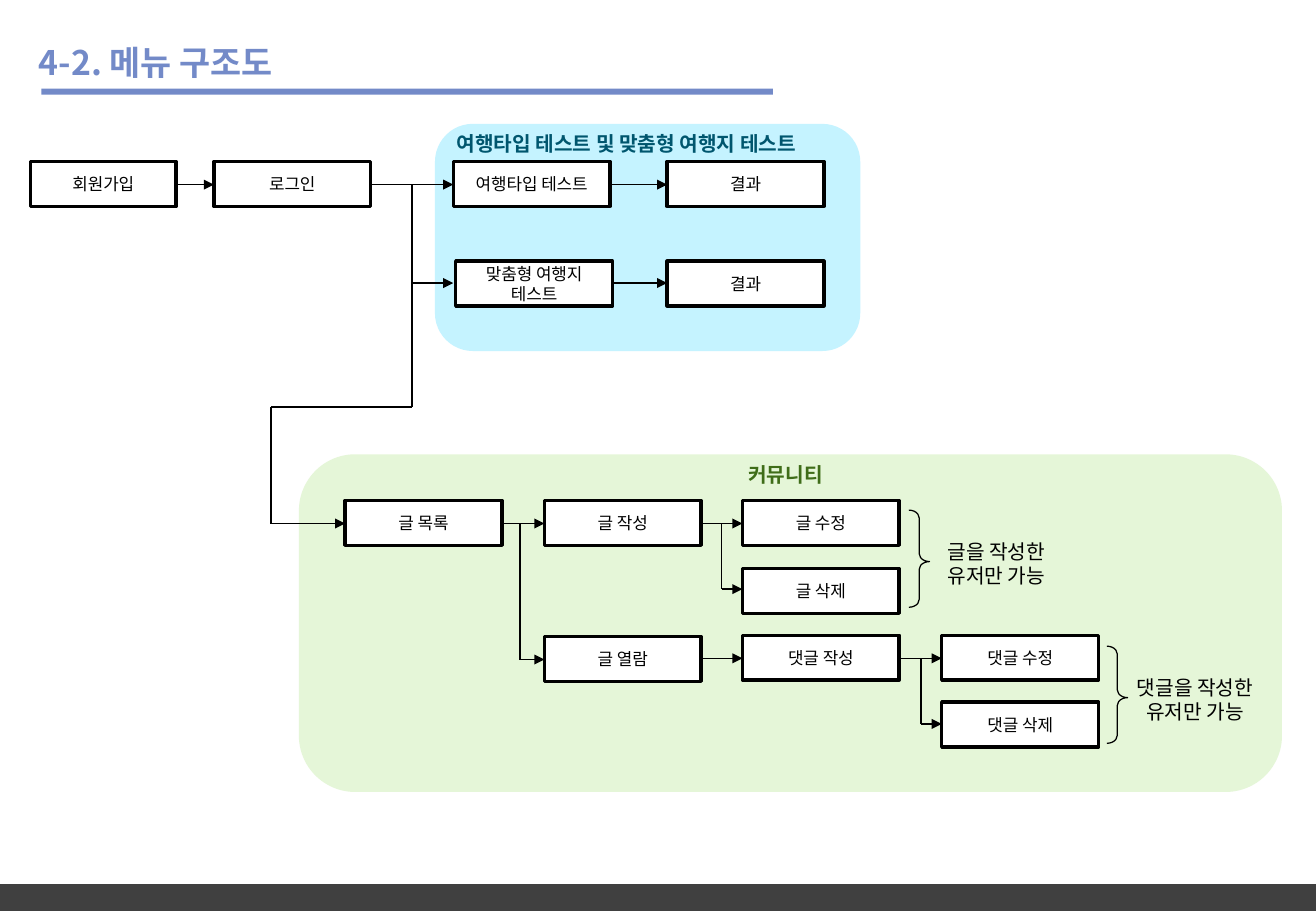
from dataclasses import dataclass

import pptx
import pptx.dml.color
import pptx.enum.shapes
import pptx.enum.text
import pptx.oxml
import pptx.oxml.ns
import pptx.util
from pptx.enum.shapes import MSO_SHAPE
from pptx.enum.text import MSO_ANCHOR, PP_ALIGN

RGB = pptx.dml.color.RGBColor
BLACK = RGB(0, 0, 0)
WHITE = RGB(255, 255, 255)
FOOTER_GRAY = RGB(0x40, 0x40, 0x40)
TITLE_BLUE = RGB(0x73, 0x8A, 0xC8)
TEST_FILL, TEST_TEXT = RGB(0xC5, 0xF3, 0xFF), RGB(0x00, 0x56, 0x6E)
COMMUNITY_FILL, COMMUNITY_TEXT = RGB(0xE5, 0xF6, 0xD8), RGB(0x3F, 0x6D, 0x19)

FONT = "Noto Sans CJK KR"
PX = pptx.util.Inches(1) // 100
MENU_WIDTH, MENU_HEIGHT = 129, 37


@dataclass(frozen=True)
class Block:
    shape: MSO_SHAPE
    left: int
    top: int
    width: int
    height: int
    fill: RGB


@dataclass(frozen=True)
class Menu:
    text: str
    left: int
    top: int
    width: int = MENU_WIDTH


@dataclass(frozen=True)
class Label:
    text: str
    left: int
    top: int
    width: int
    height: int
    size: int = 12
    color: RGB = BLACK
    bold: bool = False
    align: PP_ALIGN = PP_ALIGN.LEFT
    wrap: bool = False
    anchor: MSO_ANCHOR = MSO_ANCHOR.TOP
    line_spacing: float = 1.0


@dataclass(frozen=True)
class Path:
    """A straight line between two points, with an arrowhead at its end if wanted."""
    x1: int
    y1: int
    x2: int
    y2: int
    arrow: bool = True


BLOCKS = [
    Block(MSO_SHAPE.RECTANGLE, -3, 728, 1091, 23, FOOTER_GRAY),
    Block(MSO_SHAPE.RECTANGLE, 34, 73, 602, 5, TITLE_BLUE),
    Block(MSO_SHAPE.ROUNDED_RECTANGLE, 358, 102, 350, 187, TEST_FILL),
    Block(MSO_SHAPE.ROUNDED_RECTANGLE, 246, 374, 809, 278, COMMUNITY_FILL),
]

MENUS = [
    Menu("회원가입", 25, 133, 120),
    Menu("로그인", 176, 133),
    Menu("여행타입 테스트", 373, 133),
    Menu("결과", 549, 133),
    Menu("맞춤형 여행지\n테스트", 375, 215),
    Menu("결과", 549, 215),
    Menu("글 목록", 284, 412),
    Menu("글 작성", 448, 412),
    Menu("글 수정", 611, 412),
    Menu("글 삭제", 611, 468),
    Menu("글 열람", 448, 524),
    Menu("댓글 작성", 611, 523),
    Menu("댓글 수정", 775, 523),
    Menu("댓글 삭제", 775, 578),
]

LABELS = [
    Label("4-2. 메뉴 구조도", 22, 13, 538, 59, 20, TITLE_BLUE, True,
          wrap=True, anchor=MSO_ANCHOR.MIDDLE, line_spacing=1.5),
    Label("여행타입 테스트 및 맞춤형 여행지 테스트", 366, 103, 336, 30,
          color=TEST_TEXT, bold=True),
    Label("커뮤니티", 606, 376, 88, 30, color=COMMUNITY_TEXT, bold=True),
    Label("글을 작성한\n유저만 가능", 765, 439, 110, 50, align=PP_ALIGN.CENTER),
    Label("댓글을 작성한\n유저만 가능", 920, 551, 127, 50, align=PP_ALIGN.CENTER),
]

PATHS = [
    Path(145, 152, 176, 152),
    Path(305, 152, 373, 152),
    Path(502, 152, 549, 152),
    Path(339, 233, 373, 233),
    Path(504, 233, 549, 233),
    Path(339, 152, 339, 335, False),
    Path(339, 335, 223, 335, False),
    Path(223, 335, 223, 431, False),
    Path(223, 431, 284, 431),
    Path(413, 431, 448, 431),
    Path(577, 431, 611, 431),
    Path(594, 431, 594, 485, False),
    Path(594, 485, 611, 485),
    Path(428, 431, 428, 543, False),
    Path(428, 543, 448, 543),
    Path(577, 542, 611, 542),
    Path(740, 542, 775, 542),
    Path(758, 542, 758, 596, False),
    Path(758, 596, 775, 596),
]

BRACES = [(748, 420), (911, 532)]


def write(shape, text: str, size: int, color: RGB, bold: bool = False,
          align: PP_ALIGN = PP_ALIGN.CENTER, line_spacing: float = 1.0) -> None:
    shape.text_frame.text = text
    for paragraph in shape.text_frame.paragraphs:
        paragraph.alignment = align
        paragraph.line_spacing = line_spacing
        for run in paragraph.runs:
            run.font.size = pptx.util.Pt(size)
            run.font.bold = bold
            run.font.color.rgb = color
            run.font.name = FONT
            east_asian = pptx.oxml.parse_xml(
                f'<a:ea {pptx.oxml.ns.nsdecls("a")} typeface="{FONT}"/>')
            run.font._element.append(east_asian)


def draw_block(slide, block: Block):
    shape = slide.shapes.add_shape(
        block.shape, block.left * PX, block.top * PX, block.width * PX, block.height * PX)
    shape.shadow.inherit = False
    shape.fill.solid()
    shape.fill.fore_color.rgb = block.fill
    shape.line.fill.background()
    return shape


def draw_menu(slide, menu: Menu) -> None:
    box = draw_block(slide, Block(MSO_SHAPE.RECTANGLE, menu.left, menu.top,
                                  menu.width, MENU_HEIGHT, WHITE))
    box.line.color.rgb = BLACK
    box.line.width = pptx.util.Pt(2)
    box.text_frame.vertical_anchor = MSO_ANCHOR.MIDDLE
    write(box, menu.text, 10, BLACK)


def draw_label(slide, label: Label) -> None:
    box = slide.shapes.add_textbox(
        label.left * PX, label.top * PX, label.width * PX, label.height * PX)
    box.text_frame.word_wrap = label.wrap
    box.text_frame.vertical_anchor = label.anchor
    write(box, label.text, label.size, label.color, label.bold,
          label.align, label.line_spacing)


def draw_path(slide, path: Path) -> None:
    line = slide.shapes.add_connector(
        pptx.enum.shapes.MSO_CONNECTOR.STRAIGHT,
        path.x1 * PX, path.y1 * PX, path.x2 * PX, path.y2 * PX)
    line.line.color.rgb = BLACK
    line.line.width = pptx.util.Pt(0.75)
    namespace = pptx.oxml.ns.nsdecls("a")
    if path.arrow:
        line.line._get_or_add_ln().append(
            pptx.oxml.parse_xml(f'<a:tailEnd {namespace} type="triangle"/>'))
    line._element.spPr.append(pptx.oxml.parse_xml(f"<a:effectLst {namespace}/>"))


def draw_brace(slide, left: int, top: int) -> None:
    brace = slide.shapes.add_shape(
        MSO_SHAPE.RIGHT_BRACE, left * PX, top * PX, 17 * PX, 80 * PX)
    brace.shadow.inherit = False
    brace.fill.background()
    brace.line.color.rgb = BLACK
    brace.line.width = pptx.util.Pt(0.75)
    brace.adjustments[0], brace.adjustments[1] = 0.38, 0.53


def main() -> None:
    deck = pptx.Presentation()
    deck.slide_width, deck.slide_height = 1083 * PX, 750 * PX
    slide = deck.slides.add_slide(deck.slide_layouts[6])
    for draw, parts in ((draw_block, BLOCKS), (draw_path, PATHS),
                        (draw_menu, MENUS), (draw_label, LABELS)):
        for part in parts:
            draw(slide, part)
    for left, top in BRACES:
        draw_brace(slide, left, top)
    deck.save("out.pptx")


if __name__ == "__main__":
    main()
